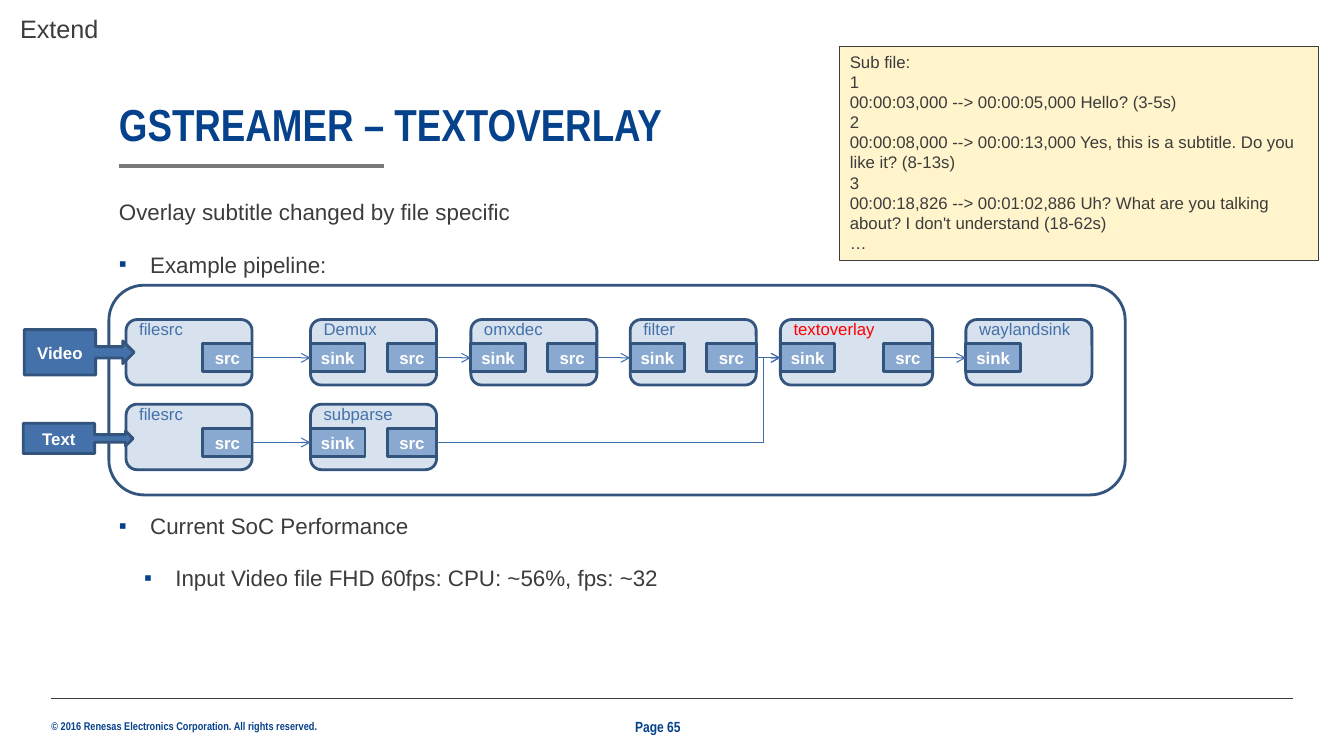
from lxml import etree
from pptx import Presentation
from pptx.dml.color import RGBColor
from pptx.enum.shapes import MSO_CONNECTOR as Conn, MSO_SHAPE as Form
from pptx.enum.text import MSO_ANCHOR as Anchor, MSO_AUTO_SIZE as Auto, PP_ALIGN as Align
from pptx.oxml.ns import qn
from pptx.util import Inches, Pt

HUES = {
    "navy": "06418C", "ink": "3C3C3B", "gray": "797979", "edge": "32547D",
    "blue": "4471A9", "wire": "406EA8", "pale": "D8E2EF", "pad": "8AA9D0",
    "note": "FFF4CC", "white": "FFFFFF", "red": "FF0000",
}
INSET = (0.1, 0.05, 0.1, 0.05)
FLUSH = (0, 0, 0, 0)
PAD_H = 0.28
SINK_W, SRC_W = 0.54, 0.49

# Name, left, width, pads, name colour
VIDEO = [
    ("filesrc", 1.25, 1.25, ("src",), "blue"),
    ("Demux", 3.08, 1.25, ("sink", "src"), "blue"),
    ("omxdec", 4.67, 1.25, ("sink", "src"), "blue"),
    ("filter", 6.25, 1.25, ("sink", "src"), "blue"),
    ("textoverlay", 7.74, 1.51, ("sink", "src"), "red"),
    ("waylandsink", 9.58, 1.25, ("sink",), "blue"),
]
TEXT = [
    ("filesrc", 1.25, 1.25, ("src",), "blue"),
    ("subparse", 3.08, 1.25, ("sink", "src"), "blue"),
]
SUBS = [
    "Sub file:",
    "1",
    "00:00:03,000 --> 00:00:05,000 Hello? (3-5s)",
    "2",
    "00:00:08,000 --> 00:00:13,000 Yes, this is a subtitle. Do you like it? (8-13s)",
    "3",
    "00:00:18,826 --> 00:01:02,886 Uh? What are you talking about? "
    "I don't understand (18-62s)",
    "…",
]


def color(name):
    return RGBColor.from_string(HUES[name])


def place(shape, *box):
    shape.left, shape.top, shape.width, shape.height = map(Inches, box)


def bullet(para, indent):
    props = para._p.get_or_add_pPr()
    props.set("marL", str(Inches(indent)))
    props.set("indent", str(-Inches(0.31)))
    hue = etree.SubElement(props, qn("a:buClr"))
    etree.SubElement(hue, qn("a:srgbClr"), val=HUES["navy"])
    etree.SubElement(props, qn("a:buFont"), typeface="Arial")
    etree.SubElement(props, qn("a:buChar"), char="▪")


def write(shape, lines, size=12, hue="ink", font="Arial", bold=False, align=Align.LEFT,
          anchor=Anchor.TOP, inset=INSET, wrap=True, after=0, pitch=None, marks=()):
    """Fill a shape with paragraphs; marks gives each one's bullet indent."""
    frame = shape.text_frame
    frame.auto_size = Auto.NONE
    frame.word_wrap = wrap
    frame.vertical_anchor = anchor
    (frame.margin_left, frame.margin_top,
     frame.margin_right, frame.margin_bottom) = map(Inches, inset)
    for i, line in enumerate(lines):
        para = frame.add_paragraph() if i else frame.paragraphs[0]
        if marks and marks[i]:
            bullet(para, marks[i])
        para.alignment = align
        para.space_before, para.space_after = Pt(0), Pt(after)
        if pitch:
            para.line_spacing = pitch
        run = para.add_run()
        run.text = line
        run.font.name, run.font.size, run.font.bold = font, Pt(size), bold
        run.font.color.rgb = color(hue)


def label(slide, box, lines, **style):
    write(slide.shapes.add_textbox(*map(Inches, box)), lines, **style)


def shape(slide, form, box, fill=None, edge="edge", width=2):
    item = slide.shapes.add_shape(form, *map(Inches, box))
    item.shadow.inherit = False
    if fill:
        item.fill.solid()
        item.fill.fore_color.rgb = color(fill)
    else:
        item.fill.background()
    item.line.color.rgb = color(edge)
    item.line.width = Pt(width)
    return item


def line(slide, start, end, hue="wire", width=0.75, arrow=False, bend=None):
    kind = Conn.ELBOW if bend else Conn.STRAIGHT
    item = slide.shapes.add_connector(kind, *map(Inches, start + end))
    item.line.color.rgb = color(hue)
    item.line.width = Pt(width)
    props = item._element.spPr
    etree.SubElement(props, qn("a:effectLst"))
    if arrow:
        etree.SubElement(item.line._get_or_add_ln(), qn("a:tailEnd"), type="arrow")
    if bend:
        guides = props.find(qn("a:prstGeom")).get_or_add_avLst()
        etree.SubElement(guides, qn("a:gd"), name="adj1", fmla=f"val {round(bend * 100000)}")


def badge(slide, form, box, text, fill):
    write(shape(slide, form, box, fill), [text], hue="white", bold=True,
          align=Align.CENTER, anchor=Anchor.MIDDLE)


def block(slide, top, name, left, width, pads, hue):
    item = shape(slide, Form.ROUNDED_RECTANGLE, (left, top, width, 0.65), "pale")
    # The deep bottom inset lifts the name to the top edge
    write(item, [name], hue=hue, anchor=Anchor.MIDDLE, inset=(0.1, 0, 0, 0.46))
    for pad in pads:
        wide = SINK_W if pad == "sink" else SRC_W
        x = left if pad == "sink" else left + width - wide
        badge(slide, Form.RECTANGLE, (x, top + 0.24, wide, PAD_H), pad, "pad")


def chain(slide, top, blocks):
    for item in blocks:
        block(slide, top, *item)
    y = top + 0.38
    for (_, left, width, *_), (_, goal, *_) in zip(blocks, blocks[1:]):
        line(slide, (left + width, y), (goal, y), arrow=True)


def main():
    deck = Presentation()
    deck.slide_width, deck.slide_height = Inches(13.33), Inches(7.5)
    slide = deck.slides.add_slide(deck.slide_layouts[5])

    # Title and rules
    title = slide.shapes.title
    place(title, 1.18, 1.02, 9.32, 0.48)
    write(title, ["GSTREAMER – TEXTOVERLAY"], size=32, hue="navy", font="Arial Narrow",
          bold=True, anchor=Anchor.BOTTOM, inset=FLUSH, pitch=0.9)
    line(slide, (1.18, 1.65), (3.81, 1.65), "gray", 3)
    line(slide, (0.51, 6.93), (12.82, 6.93), "ink", 0.5)
    label(slide, (0.1, 0.08, 0.99, 0.4), ["Extend"], size=18, wrap=False)

    # Footer
    foot = dict(hue="navy", font="Arial Narrow", bold=True, inset=FLUSH)
    label(slide, (0.51, 7.14, 2.68, 0.13),
          ["© 2016 Renesas Electronics Corporation. All rights reserved."],
          size=8, wrap=False, **foot)
    label(slide, (6.3, 7.12, 0.73, 0.18), ["Page 65"], size=10.5,
          anchor=Anchor.MIDDLE, **foot)

    # Body text above and below the diagram
    body = dict(size=16, inset=FLUSH, after=18)
    label(slide, (1.18, 1.97, 7, 0.82),
          ["Overlay subtitle changed by file specific", "Example pipeline:"],
          marks=(None, 0.31), **body)
    label(slide, (1.18, 5.08, 9.84, 0.82),
          ["Current SoC Performance", "Input Video file FHD 60fps: CPU: ~56%, fps: ~32"],
          marks=(0.31, 0.56), **body)

    # Pipeline
    shape(slide, Form.ROUNDED_RECTANGLE, (1.08, 2.83, 10.08, 2.08))
    chain(slide, 3.17, VIDEO)
    chain(slide, 4.01, TEXT)
    line(slide, (4.33, 4.39), (7.74, 3.55), arrow=True, bend=0.95)
    badge(slide, Form.RIGHT_ARROW_CALLOUT, (0.24, 3.27, 1.09, 0.45), "Video", "blue")
    badge(slide, Form.RIGHT_ARROW_CALLOUT, (0.23, 4.2, 1.09, 0.3), "Text", "blue")

    # Subtitle file
    write(shape(slide, Form.RECTANGLE, (8.33, 0.46, 4.75, 2.12), "note", "ink", 0.75), SUBS)

    deck.save("out.pptx")


if __name__ == "__main__":
    main()
